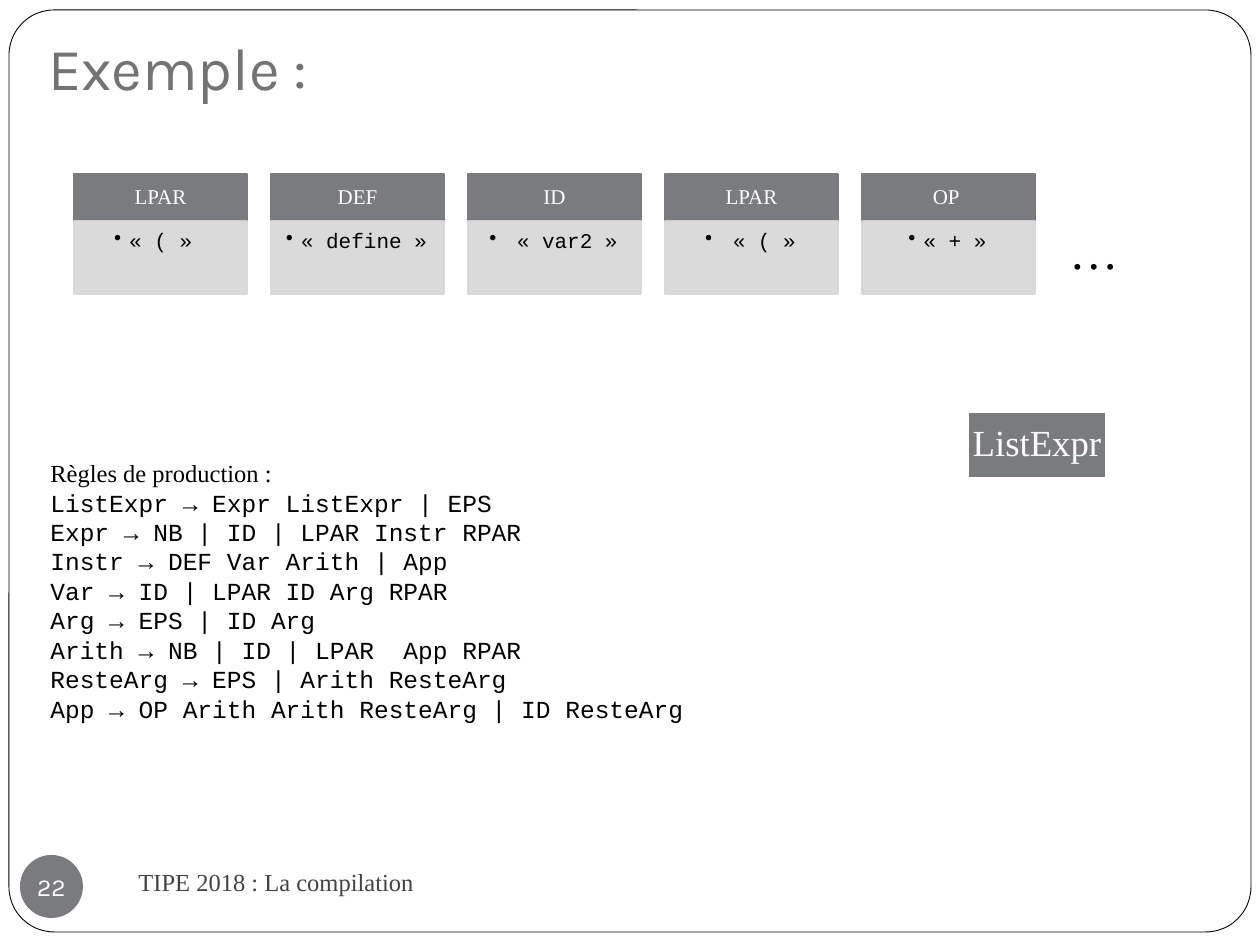
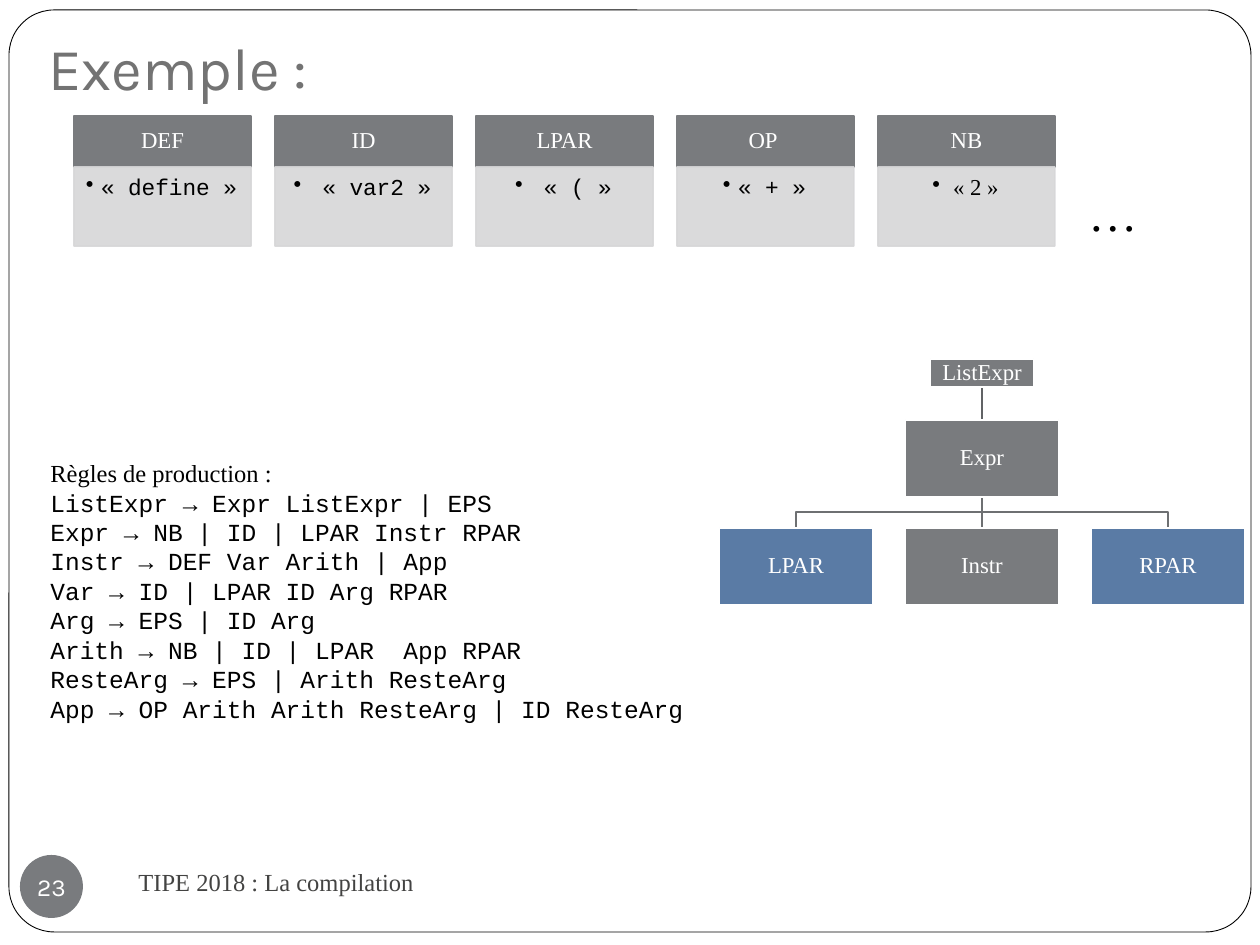
"""Build two slides that follow the parsing of a small program, token by token."""
from dataclasses import dataclass

from lxml.etree import SubElement
from pptx import Presentation
from pptx.dml.color import RGBColor
from pptx.enum.shapes import MSO_CONNECTOR, MSO_SHAPE
from pptx.enum.text import MSO_ANCHOR, MSO_AUTO_SIZE, PP_ALIGN
from pptx.oxml.ns import qn
from pptx.util import Inches, Pt

SCALE = Inches(1) / 126


def px(n):
    """Turn pixels into EMU."""
    return round(n * SCALE)


@dataclass(frozen=True)
class Theme:
    """Colours, fonts and type sizes of the deck."""
    white: str = "FFFFFF"
    black: str = "000000"
    gray: str = "797B7E"
    pale: str = "D7D7D8"
    blue: str = "5A7BA5"
    title: str = "737373"
    footer: str = "434342"
    link: str = "6E7072"
    root_link: str = "616365"
    serif: str = "Times New Roman"
    mono: str = "Courier New"
    display: str = "Karla"
    title_size: int = 34
    dots_size: int = 28
    root_size: int = 21
    body_size: int = 14
    large_card: int = 13
    small_card: int = 12


class Deck:
    """Draw styled elements on the current slide."""

    def __init__(self, prs, theme):
        """Keep the presentation and its style."""
        self.prs, self.t, self.s = prs, theme, None

    def new_slide(self, title, footer, number):
        """Start a slide with its frame, footer, number and title."""
        t = self.t
        self.s = self.prs.slides.add_slide(self.prs.slide_layouts[5])
        sp = self.s.shapes.title
        frame = self.box((9, 10, 1242, 922), t.white, t.black, 0.5, MSO_SHAPE.ROUNDED_RECTANGLE)
        frame.adjustments[0] = 0.049
        sp.element.addprevious(frame.element)
        self.text_box((126, 850, 546, 63), [footer], t.body_size, t.footer, MSO_ANCHOR.MIDDLE)
        badge = self.box((20, 855, 63, 63), t.gray, shape=MSO_SHAPE.OVAL)
        self.label(badge, str(number), t.body_size, t.white, t.display, (0, 0, 0, 0))
        badge.text_frame.word_wrap = False
        sp.left, sp.top, sp.width, sp.height = map(px, (35, 37, 1211, 78))
        p = self.label(sp, title, t.title_size, t.title, t.display, (13, 6, 13, 13), MSO_ANCHOR.BOTTOM)
        p.alignment = PP_ALIGN.LEFT
        sp.text_frame.auto_size = MSO_AUTO_SIZE.NONE

    def style(self, p, size, color, font):
        """Format every run of a paragraph."""
        for r in p.runs:
            r.font.size, r.font.name = Pt(size), font
            r.font.color.rgb = RGBColor.from_string(color)

    def label(self, sp, text, size, color, font, insets, anchor=MSO_ANCHOR.MIDDLE):
        """Put one centred paragraph into a shape."""
        tf = sp.text_frame
        tf.word_wrap, tf.vertical_anchor = True, anchor
        tf.margin_left, tf.margin_top, tf.margin_right, tf.margin_bottom = map(px, insets)
        p = tf.paragraphs[0]
        p.text, p.alignment = text, PP_ALIGN.CENTER
        self.style(p, size, color, font)
        return p

    def box(self, rect, fill, line=None, width=1, shape=MSO_SHAPE.RECTANGLE):
        """Add a filled preset shape."""
        sp = self.s.shapes.add_shape(shape, *map(px, rect))
        sp.shadow.inherit = False
        sp.fill.solid()
        sp.fill.fore_color.rgb = RGBColor.from_string(fill)
        if line:
            sp.line.color.rgb = RGBColor.from_string(line)
            sp.line.width = Pt(width)
        else:
            sp.line.fill.background()
        return sp

    def text_box(self, rect, lines, size, color, anchor=MSO_ANCHOR.TOP):
        """Add serif text whose lines after the first are monospaced."""
        sp = self.s.shapes.add_textbox(*map(px, rect))
        tf = sp.text_frame
        tf.text = "\n".join(lines)
        tf.word_wrap, tf.vertical_anchor = True, anchor
        for i, p in enumerate(tf.paragraphs):
            self.style(p, size, color, self.t.mono if i else self.t.serif)
        return sp

    def node(self, rect, text, size, fill):
        """Add a node of the syntax tree."""
        sp = self.box(rect, fill, self.t.white)
        self.label(sp, text, size, self.t.white, self.t.serif, (1, 1, 1, 1)).line_spacing = 0.9

    def card(self, left, top, width, heights, size, token, lexeme, font):
        """Add a token header over its bulleted lexeme."""
        t = self.t
        head, body = heights
        sp = self.box((left, top, width, head), t.gray, t.gray)
        self.label(sp, token, size, t.white, t.serif, (11, 6, 11, 6)).line_spacing = 0.9
        sp = self.box((left, top + head, width, body), t.pale, t.pale)
        for clr in sp.element.spPr.iter(qn("a:srgbClr")):
            SubElement(clr, qn("a:alpha"), val="90000")
        p = self.label(sp, lexeme, size, t.black, font, (9, 9, 11, 13), MSO_ANCHOR.TOP)
        p.line_spacing = 0.9
        pPr = p._p.get_or_add_pPr()
        pPr.set("marL", str(px(15)))
        pPr.set("indent", str(-px(15)))
        SubElement(pPr, qn("a:buChar"), char="•")

    def cards(self, top, width, pitch, heights, size, tokens):
        """Add a row of token cards at an equal pitch."""
        for i, (token, lexeme, font) in enumerate(tokens):
            self.card(74 + i * pitch, top, width, heights, size, token, lexeme, font)

    def dots(self, left, top):
        """Add the ellipsis that ends a row of cards."""
        sp = self.text_box((left, top, 149, 72), ["…"], self.t.dots_size, self.t.black)
        sp.text_frame.auto_size = MSO_AUTO_SIZE.SHAPE_TO_FIT_TEXT

    def rules(self, lines, height):
        """Add the grammar."""
        sp = self.text_box((38, 452, 893, height), lines, self.t.body_size, self.t.black)
        sp.text_frame.auto_size = MSO_AUTO_SIZE.SHAPE_TO_FIT_TEXT

    def link(self, x1, y1, x2, y2, color):
        """Join two nodes, with an elbow if they are not aligned."""
        if x1 == x2:
            sp = self.s.shapes.add_connector(MSO_CONNECTOR.STRAIGHT, *map(px, (x1, y1, x2, y2)))
            SubElement(sp.element.spPr, qn("a:effectLst"))
        else:
            mid = (y1 + y2) / 2
            elbow = self.s.shapes.build_freeform(x1, y1, scale=SCALE)
            elbow.add_line_segments([(x1, mid), (x2, mid), (x2, y2)], close=False)
            sp = elbow.convert_to_shape()
            sp.shadow.inherit = False
            sp.fill.background()
        sp.line.color.rgb = RGBColor.from_string(color)
        sp.line.width = Pt(1)

    def tree(self, center, pitch, size, root, child, leaves):
        """Add a root, its child and a row of leaves."""
        t, w, h = self.t, 153, 77
        root_top, root_w, root_h, child_top, leaf_top = 359, 103, 28, 420, 528
        xs = [center + (i - (len(leaves) - 1) / 2) * pitch for i in range(len(leaves))]
        for x in xs:
            self.link(center, child_top + h, x, leaf_top, t.link)
        self.link(center, root_top + root_h, center, child_top, t.root_link)
        self.node((center - root_w / 2, root_top, root_w, root_h), root, size, t.gray)
        self.node((center - w / 2, child_top, w, h), child, size, t.gray)
        for x, (text, fill) in zip(xs, leaves):
            self.node((x - w / 2, leaf_top, w, h), text, size, fill)


def quote(word):
    """Put a lexeme between French quotation marks."""
    return f"«\u00a0{word}\u00a0»"


TITLE = "Exemple :"
FOOTER = "TIPE 2018 : La compilation"
RULES = [
    "Règles de production :",
    "ListExpr → Expr ListExpr | EPS",
    "Expr → NB | ID | LPAR Instr RPAR",
    "Instr → DEF Var Arith | App",
    "Var → ID | LPAR ID Arg RPAR",
    "Arg → EPS | ID Arg",
    "Arith → NB | ID | LPAR  App RPAR",
    "ResteArg → EPS | Arith ResteArg",
    "App → OP Arith Arith ResteArg | ID ResteArg",
]

theme = Theme()
FIRST = ("LPAR", quote("(") + "\u00a0", theme.mono)
SHARED = [
    ("DEF", quote("define"), theme.mono),
    ("ID", " " + quote("var2"), theme.mono),
    ("LPAR", " " + quote("("), theme.mono),
    ("OP ", quote("+"), theme.mono),
]
LAST = ("NB", " " + quote("2"), theme.serif)

prs = Presentation()
prs.slide_width, prs.slide_height = Inches(10), Inches(7.5)
deck = Deck(prs, theme)

deck.new_slide(TITLE, FOOTER, 22)
deck.node((968, 412, 138, 66), "ListExpr", theme.root_size, theme.gray)
deck.cards(174, 173, 197, (47, 73), theme.small_card, [FIRST, *SHARED])
deck.rules(RULES, 310)
deck.dots(1057, 214)

deck.new_slide(TITLE, FOOTER, 23)
deck.cards(116, 177, 201, (51, 79), theme.large_card, [*SHARED, LAST])
deck.rules(RULES, 280)
deck.tree(982, 186, theme.large_card, "ListExpr", "Expr",
          [("LPAR", theme.blue), ("Instr", theme.gray), ("RPAR", theme.blue)])
deck.dots(1076, 176)

prs.save("out.pptx")
